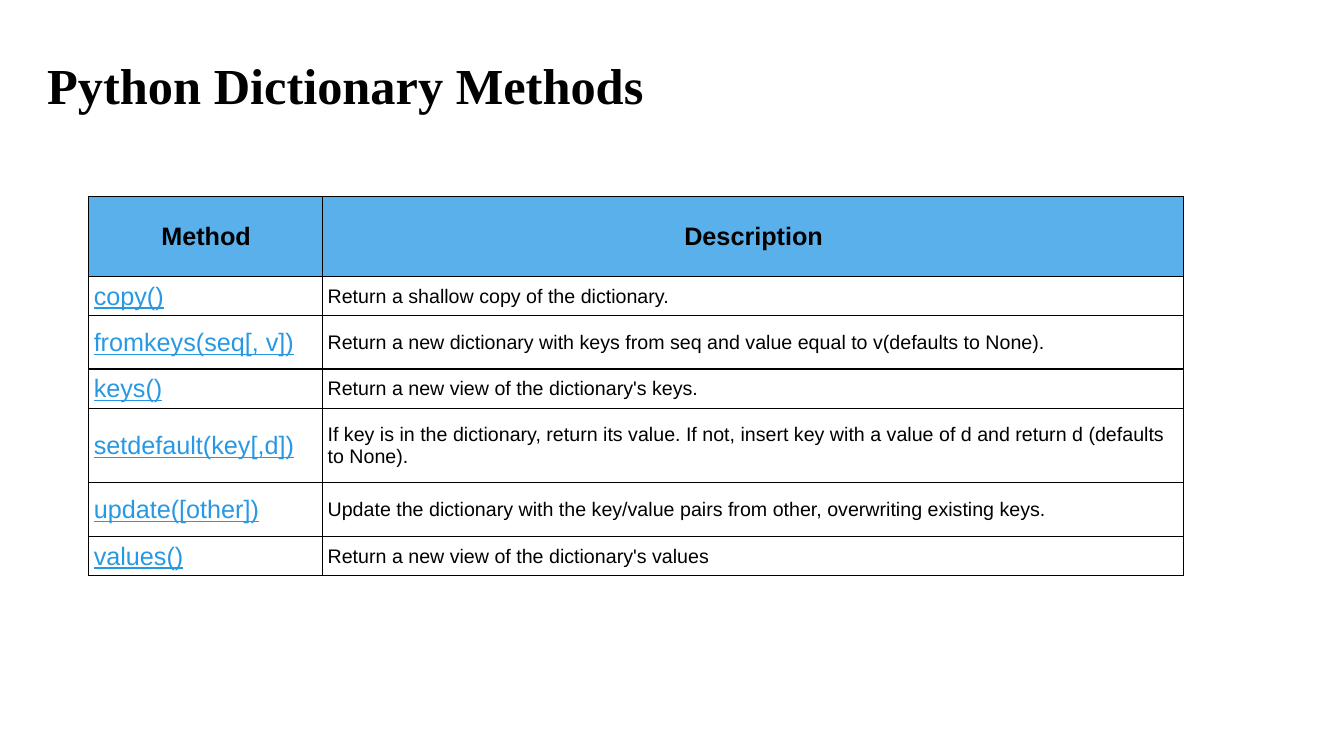
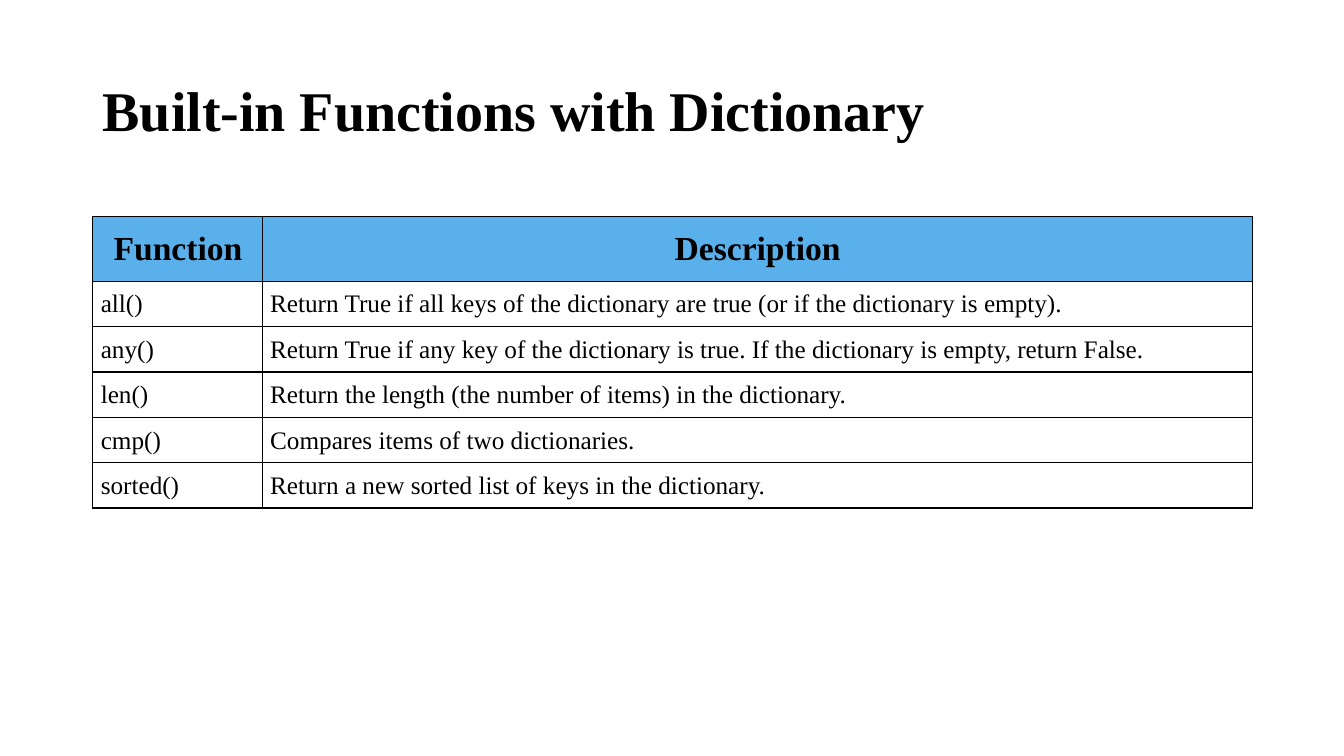
from lxml.etree import SubElement
from pptx import Presentation
from pptx.dml.color import RGBColor
from pptx.enum.text import MSO_ANCHOR, PP_ALIGN
from pptx.oxml.ns import qn
from pptx.util import Inches, Pt

# Shared look
COLORS = {"text": "000000", "head": "5AB0EA", "link": "2998E3", "line": "000000"}
SERIF, SANS = "Times New Roman", "Arial"
EDGES = ("a:lnL", "a:lnR", "a:lnT", "a:lnB")
SIDES = ("left", "top", "right", "bottom")

# Slide content
METHODS = [
    ("Method", "Description"),
    ("copy()", "Return a shallow copy of the dictionary."),
    ("fromkeys(seq[, v])",
     "Return a new dictionary with keys from seq and value equal to v(defaults to None)."),
    ("keys()", "Return a new view of the dictionary's keys."),
    ("setdefault(key[,d])",
     "If key is in the dictionary, return its value. If not, insert key with "
     "a value of d and return d (defaults to None)."),
    ("update([other])",
     "Update the dictionary with the key/value pairs from other, overwriting existing keys."),
    ("values()", "Return a new view of the dictionary's values"),
]
BUILTINS = [
    ("Function", "Description"),
    ("all()", "Return True if all keys of the dictionary are true (or if the dictionary is empty)."),
    ("any()", "Return True if any key of the dictionary is true. "
              "If the dictionary is empty, return False."),
    ("len()", "Return the length (the number of items) in the dictionary."),
    ("cmp()", "Compares items of two dictionaries."),
    ("sorted()", "Return a new sorted list of keys in the dictionary."),
]


def style(font, size, name, color="text", **extra):
    """Set font values from a dict."""
    values = {"size": Pt(size), "name": name, "bold": False, **extra}
    for key, value in values.items():
        setattr(font, key, value)
    font.color.rgb = RGBColor.from_string(COLORS[color])


def write(frame, text, align=PP_ALIGN.LEFT, **look):
    """Put one styled paragraph in a text frame."""
    para = frame.paragraphs[0]
    para.alignment = align
    run = para.add_run()
    run.text = text
    style(run.font, **look)
    return para


def add_title(slide, text, left, top, size):
    box = slide.shapes.add_textbox(Inches(left), Inches(top), Inches(11.5), Inches(1.45))
    frame = box.text_frame
    frame.word_wrap = True
    frame.vertical_anchor = MSO_ANCHOR.MIDDLE
    write(frame, text, size=size, name=SERIF, bold=True).line_spacing = 0.9


def add_edges(cell):
    """Draw a thin line on all four sides of a cell."""
    props = cell._tc.get_or_add_tcPr()
    for spot, tag in enumerate(EDGES):
        line = SubElement(props, qn(tag), w=str(Pt(1)))
        fill = SubElement(line, qn("a:solidFill"))
        SubElement(fill, qn("a:srgbClr"), val=COLORS["line"])
        props.remove(line)
        props.insert(spot, line)


def fill_cell(cell, text, pads, head, look):
    cell.vertical_anchor = MSO_ANCHOR.MIDDLE
    for side, pad in zip(SIDES, pads):
        setattr(cell, f"margin_{side}", Inches(pad))
    if head:
        cell.fill.solid()
        cell.fill.fore_color.rgb = RGBColor.from_string(COLORS["head"])
    else:
        cell.fill.background()
    add_edges(cell)
    write(cell.text_frame, text, **look)


def add_grid(slide, data, left, top, widths, heights, pads, looks):
    """Add a table; pads and looks hold values for head and body cells."""
    grid = slide.shapes.add_table(
        len(data), len(widths), Inches(left), Inches(top),
        Inches(sum(widths)), Inches(sum(heights))).table
    grid.horz_banding = False
    for col, width in zip(grid.columns, widths):
        col.width = Inches(width)
    for row, height in zip(grid.rows, heights):
        row.height = Inches(height)
    for r, texts in enumerate(data):
        head = r == 0
        for c, text in enumerate(texts):
            look = looks["head"] if head else looks["body"][c]
            fill_cell(grid.cell(r, c), text, pads["head" if head else "body"], head, look)


def head_look(size, name):
    return {"size": size, "name": name, "bold": True, "align": PP_ALIGN.CENTER}


def main():
    deck = Presentation()
    deck.slide_width, deck.slide_height = Inches(13.33), Inches(7.5)
    blank = deck.slide_layouts[6]

    # Dictionary methods
    slide = deck.slides.add_slide(blank)
    add_title(slide, "Python Dictionary Methods", 0.37, 0.15, 36)
    link = {"size": 18, "name": SANS, "color": "link", "underline": True}
    add_grid(
        slide, METHODS, 0.88, 1.95, (2.32, 8.54),
        (0.79, 0.37, 0.53, 0.37, 0.74, 0.53, 0.37),
        {"head": (0.05, 0.07, 0.04, 0.07), "body": (0.05, 0.05, 0.04, 0.04)},
        {"head": head_look(18, SANS), "body": (link, {"size": 14, "name": SANS})})

    # Built-in functions
    slide = deck.slides.add_slide(blank)
    add_title(slide, "Built-in Functions with Dictionary", 0.92, 0.4, 40)
    plain = {"size": 18, "name": SERIF}
    add_grid(
        slide, BUILTINS, 0.92, 2.15, (1.68, 9.82), [0.61] + [0.43] * 5,
        {"head": (0.08, 0.12, 0.07, 0.12), "body": (0.08, 0.08, 0.07, 0.07)},
        {"head": head_look(24, SERIF), "body": (plain, plain)})

    deck.save("out.pptx")


if __name__ == "__main__":
    main()
